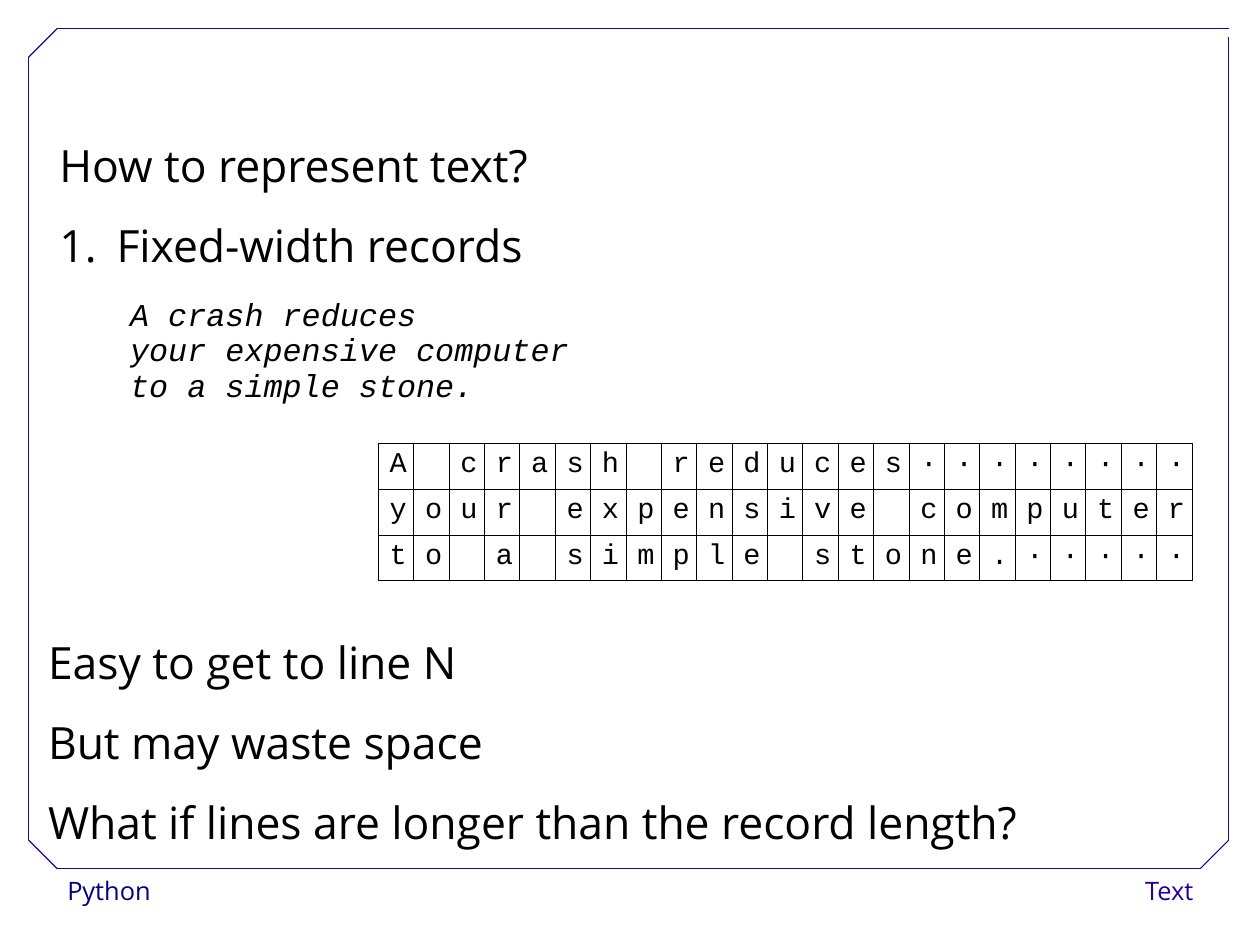
from itertools import pairwise

from pptx import Presentation
from pptx.dml.color import RGBColor
from pptx.enum.shapes import MSO_CONNECTOR
from pptx.enum.text import MSO_ANCHOR, MSO_AUTO_SIZE, PP_ALIGN
from pptx.oxml.ns import qn
from pptx.util import Cm, Emu, Inches, Pt
from lxml import etree

LEFT, RIGHT = PP_ALIGN.LEFT, PP_ALIGN.RIGHT
TOP = MSO_ANCHOR.TOP
NO_FIT = MSO_AUTO_SIZE.NONE
STRAIGHT = MSO_CONNECTOR.STRAIGHT

WIDTH, HEIGHT = Cm(28), Cm(21)
TWO_CONTENT_LAYOUT = 3
SANS, MONO = "Open Sans", "Courier New"
BLACK, WHITE, NAVY, VIOLET = "000000", "FFFFFF", "000080", "280099"

POEM = ["A crash reduces", "your expensive computer", "to a simple stone."]
CONCLUSIONS = [
    "Easy to get to line N",
    "But may waste space",
    "What if lines are longer than the record length?",
]


def color(hex_value):
    return RGBColor.from_string(hex_value)


def style(paragraph, font_name, size, hex_value=BLACK, spacing=1.0, align=LEFT, italic=False):
    paragraph.alignment = align
    paragraph.line_spacing = spacing
    paragraph.space_before = Pt(0)
    font = paragraph.font
    font.name, font.size, font.italic = font_name, Pt(size), italic
    font.color.rgb = color(hex_value)


def set_marker(paragraph, tag, hanging=0, **attributes):
    """Set the bullet element and the hanging indent of a list item."""
    properties = paragraph._p.get_or_add_pPr()
    properties.set("marL", str(Inches(hanging)))
    properties.set("indent", str(-Inches(hanging)))
    etree.SubElement(properties, qn(tag), **attributes)


def fill_frame(shape, lines):
    """Write one paragraph per line and return the paragraphs."""
    frame = shape.text_frame
    frame.text = "\n".join(lines)
    frame.word_wrap = True
    frame.auto_size = NO_FIT
    frame.vertical_anchor = TOP
    return frame.paragraphs


def place(shape, box):
    shape.left, shape.top, shape.width, shape.height = map(Inches, box)


def add_footer(slide, box, label, hex_value, align):
    footer = slide.shapes.add_textbox(*map(Inches, box))
    footer.fill.solid()
    footer.fill.fore_color.rgb = color(WHITE)
    style(fill_frame(footer, [label])[0], SANS, 16, hex_value, 1.02, align)


def add_border(slide, box, corner=0.25, gap=0.07):
    """Draw the cut-corner frame, open at its top right."""
    left, top, width, height = box
    right, bottom = left + width, top + height
    outline = [
        (right, top), (left + corner, top), (left, top + corner),
        (left, bottom - corner), (left + corner, bottom),
        (right - corner, bottom), (right, bottom - corner), (right, top + gap),
    ]
    for start, end in pairwise(outline):
        edge = slide.shapes.add_connector(STRAIGHT, *map(Inches, start + end))
        edge.line.color.rgb = color(VIOLET)
        edge.line.width = Pt(0.75)
        etree.SubElement(edge._element.spPr, qn("a:effectLst"))


def fill_title(title, box, question):
    place(title, box)
    style(fill_frame(title, [question])[0], SANS, 28, spacing=1.5)


def fill_list(body, box, items, tag, **marker):
    place(body, box)
    for item in fill_frame(body, items):
        set_marker(item, tag, **marker)
        style(item, SANS, 28, spacing=1.5)


def add_poem(slide, box):
    poem = slide.shapes.add_textbox(*map(Inches, box))
    for verse in fill_frame(poem, POEM):
        style(verse, MONO, 20, spacing=0.93, italic=True)


def outline_cell(cell):
    properties = cell._tc.get_or_add_tcPr()
    for side in ("a:lnL", "a:lnR", "a:lnT", "a:lnB"):
        edge = etree.SubElement(properties, qn(side), w=str(Pt(0.45)))
        paint = etree.SubElement(edge, qn("a:solidFill"))
        etree.SubElement(paint, qn("a:srgbClr"), val=BLACK)
    cell.fill.background()


def add_records(slide, box):
    """Lay out each verse as a padded record, one character to a cell."""
    record_length = max(map(len, POEM))
    left, top, width, height = map(Inches, box)
    records = slide.shapes.add_table(len(POEM), record_length, left, top, width, height).table
    records.first_row = records.horz_banding = False
    for column in records.columns:
        column.width = Emu(width // record_length)
    for row, verse in enumerate(POEM):
        for column, character in enumerate(verse.ljust(record_length, "·")):
            cell = records.cell(row, column)
            cell.text = character.strip()
            style(cell.text_frame.paragraphs[0], MONO, 18, spacing=0.93)
            outline_cell(cell)


def main():
    deck = Presentation()
    deck.slide_width, deck.slide_height = WIDTH, HEIGHT
    slide = deck.slides.add_slide(deck.slide_layouts[TWO_CONTENT_LAYOUT])
    title, method, conclusions = slide.placeholders

    add_footer(slide, (0.49, 7.6, 2.15, 0.4), "Python", NAVY, LEFT)
    add_footer(slide, (9.14, 7.6, 1.4, 0.4), "Text", VIOLET, RIGHT)
    add_border(slide, (0.25, 0.25, 10.5, 7.35))
    fill_title(title, (0.42, 0.92, 5.36, 0.8), "How to represent text?")
    fill_list(method, (0.42, 1.62, 5.36, 0.8), ["Fixed-width records"],
              "a:buAutoNum", hanging=0.5, type="arabicPeriod")
    add_poem(slide, (1.04, 2.56, 4.2, 1.07))
    add_records(slide, (3.31, 3.88, 7.12, 1.2))
    fill_list(conclusions, (0.32, 5.27, 9.82, 2.2), CONCLUSIONS, "a:buNone")
    deck.save("out.pptx")


if __name__ == "__main__":
    main()
